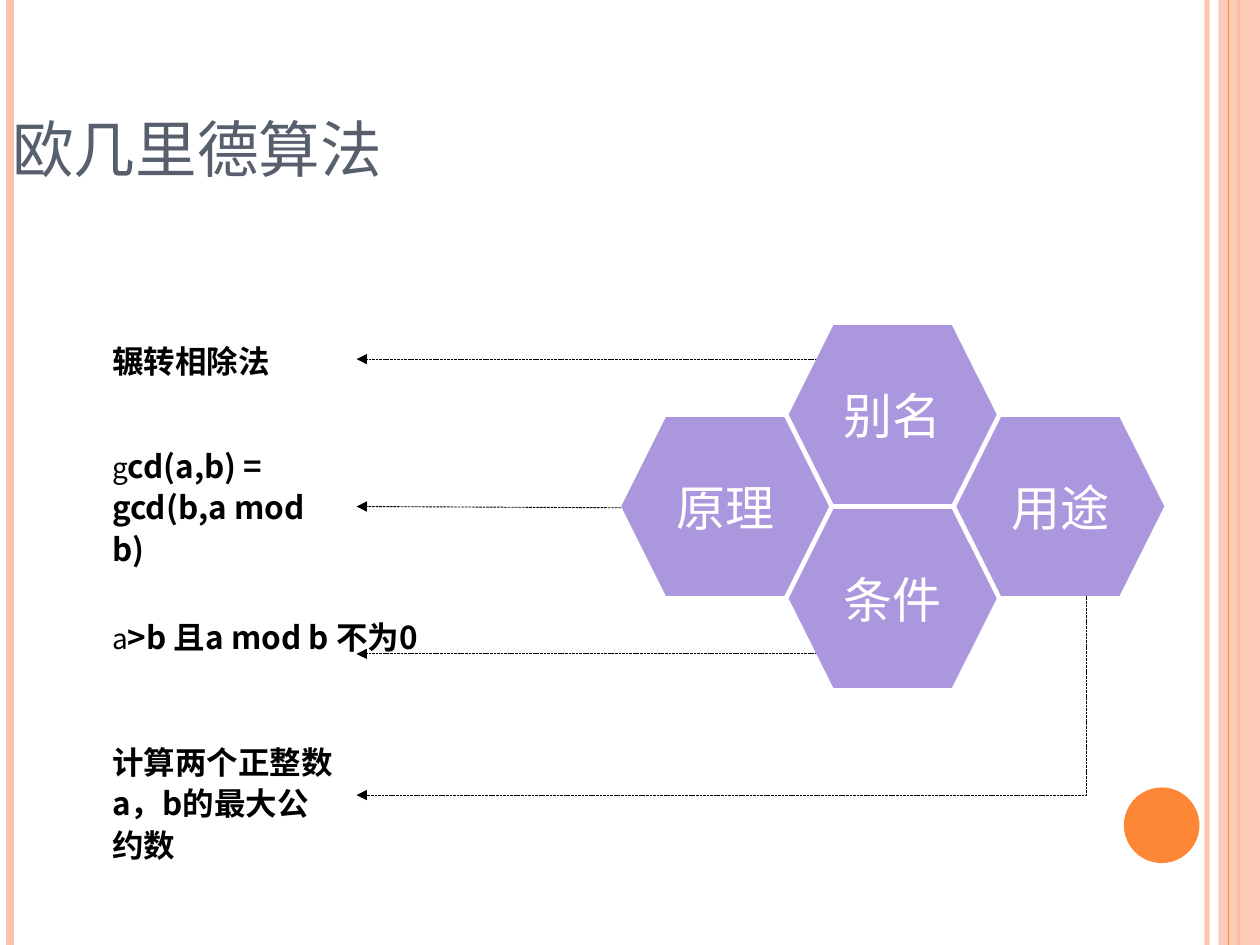
from lxml import etree
from pptx import Presentation
from pptx import util as u
from pptx.dml import color
from pptx.enum import shapes, text
from pptx.oxml import ns

INK = {
    "peach": "FEC3AE",
    "orange": "FE8637",
    "violet": "AB97DD",
    "slate": "575F6D",
    "black": "000000",
    "white": "FFFFFF",
}
SANS = "Noto Sans CJK SC"
WIDE, HIGH = 100, 75


def cell(num):
    return u.Inches(num / 10)


def add(node, tag, **attrs):
    return etree.SubElement(node, ns.qn(tag), attrs)


class Deck:
    def __init__(self):
        self.prs = Presentation()
        self.prs.slide_width, self.prs.slide_height = cell(WIDE), cell(HIGH)
        self.slide = self.prs.slides.add_slide(self.prs.slide_layouts[6])

    def tint(self, fill, name, alpha=None):
        fill.solid()
        fill.fore_color.rgb = color.RGBColor.from_string(INK[name])
        if alpha:
            for rgb in fill._xPr.iter(ns.qn("a:srgbClr")):
                add(rgb, "a:alpha", val=str(alpha * 1000))

    def shape(self, kind, box, name, alpha=None):
        item = self.slide.shapes.add_shape(kind, *map(cell, box))
        item.shadow.inherit = False
        item.line.fill.background()
        self.tint(item.fill, name, alpha)
        return item

    def line(self, start, end, name, width, alpha=None, bent=False):
        kind = shapes.MSO_CONNECTOR.ELBOW if bent else shapes.MSO_CONNECTOR.STRAIGHT
        item = self.slide.shapes.add_connector(kind, *map(cell, start + end))
        item.line.width = u.Pt(width)
        self.tint(item.line.fill, name, alpha)
        add(item._element.spPr, "a:effectLst")
        return item

    def rule(self, col, name, width, alpha=None):
        self.line((col, 0), (col, HIGH), name, width, alpha)

    def arrow(self, start, end, bent=False):
        item = self.line(start, end, "black", 0.5, bent=bent)
        edge = item.line._get_or_add_ln()
        add(edge, "a:prstDash", val="sysDash")
        add(edge, "a:tailEnd", type="triangle")
        if bent:
            guide = item._element.spPr.find(".//" + ns.qn("a:avLst"))
            add(guide, "a:gd", name="adj1", fmla="val -100")

    def words(self, item, runs, name, inset=0, align=text.PP_ALIGN.LEFT,
              space=1.0, face=SANS, caps=False):
        frame = item.text_frame
        frame.word_wrap = True
        frame.vertical_anchor = text.MSO_ANCHOR.MIDDLE
        frame.margin_left = frame.margin_right = cell(inset)
        frame.margin_top = frame.margin_bottom = cell(inset / 2)
        para = frame.paragraphs[0]
        para.alignment, para.line_spacing = align, space
        for part, size, bold in runs:
            run = para.add_run()
            run.text = part
            run.font.size, run.font.bold = u.Pt(size), bold
            run.font.name = face
            self.tint(run.font.fill, name)
            props = run._r.get_or_add_rPr()
            add(props, "a:ea", typeface=SANS)
            if caps:
                props.set("cap", "small")

    def label(self, box, runs, name="black", **style):
        item = self.slide.shapes.add_textbox(*map(cell, box))
        self.words(item, runs, name, **style)

    def hexagon(self, col, row, title):
        item = self.shape(shapes.MSO_SHAPE.HEXAGON, (col, row, 16.5, 14.2), "violet")
        self.words(item, [(title, 28, False)], "white", align=text.PP_ALIGN.CENTER)


def main():
    deck = Deck()
    deck.rule(95.8, "peach", 3, 93)
    deck.rule(0.8, "peach", 4.5)
    deck.rule(98.3, "orange", 1.5)
    deck.shape(shapes.MSO_SHAPE.RECTANGLE, (96.7, 0, 3.3, HIGH), "peach", 87)
    deck.rule(97.5, "orange", 0.75)
    deck.shape(shapes.MSO_SHAPE.OVAL, (89.2, 62.5, 6, 6), "orange")

    tip = 28.3
    for start, row in (((64.9, 28.5), 28.5), ((49.3, 40.3), 40.2), ((64.9, 51.9), 51.9)):
        deck.arrow(start, (tip, row))
    deck.arrow((86.2, 46.9), (tip, 63.1), bent=True)

    notes = (
        (25.5, 18, [("辗转相除法", 18, True)]),
        (37.1, 18, [("g", 16, False), ("cd(a,b) = gcd(b,a mod b)", 18, True)]),
        (47.4, 30.4, [("a", 16, False), (">b 且a mod b 不为0", 18, True)]),
        (60.6, 18, [("计算两个正整数a，b的最大公约数", 18, True)]),
    )
    for row, width, runs in notes:
        deck.label((8.9, row, width, 6), runs, space=1.1)

    left, top, across, down = 49.3, 25.8, 13.3, 7.3
    for col, row, title in ((2, 1, "用途"), (1, 2, "条件"), (1, 0, "别名"), (0, 1, "原理")):
        deck.hexagon(left + col * across, top + row * down, title)

    deck.label((0, 4, 86.2, 14.5), [("欧几里德算法", 44, False)], "slate",
               inset=1, face="Cambria", caps=True)
    deck.prs.save("out.pptx")


if __name__ == "__main__":
    main()
